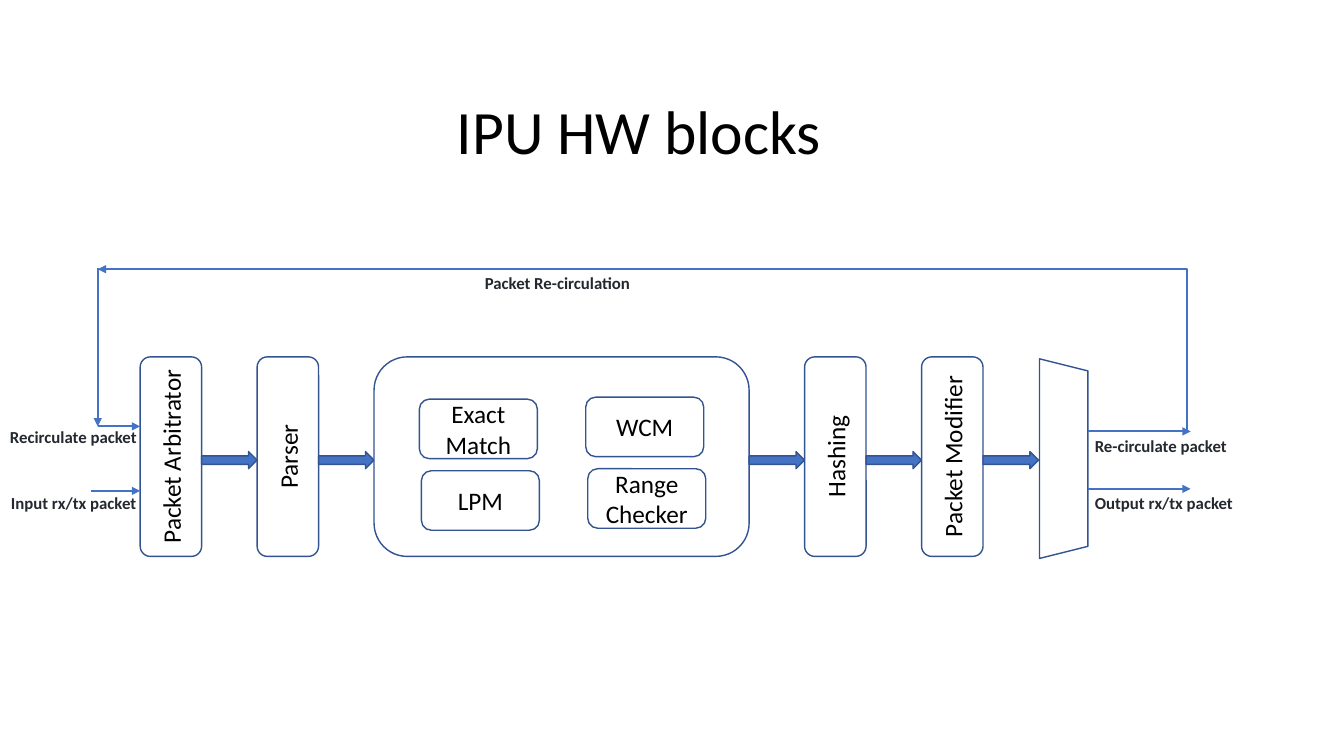
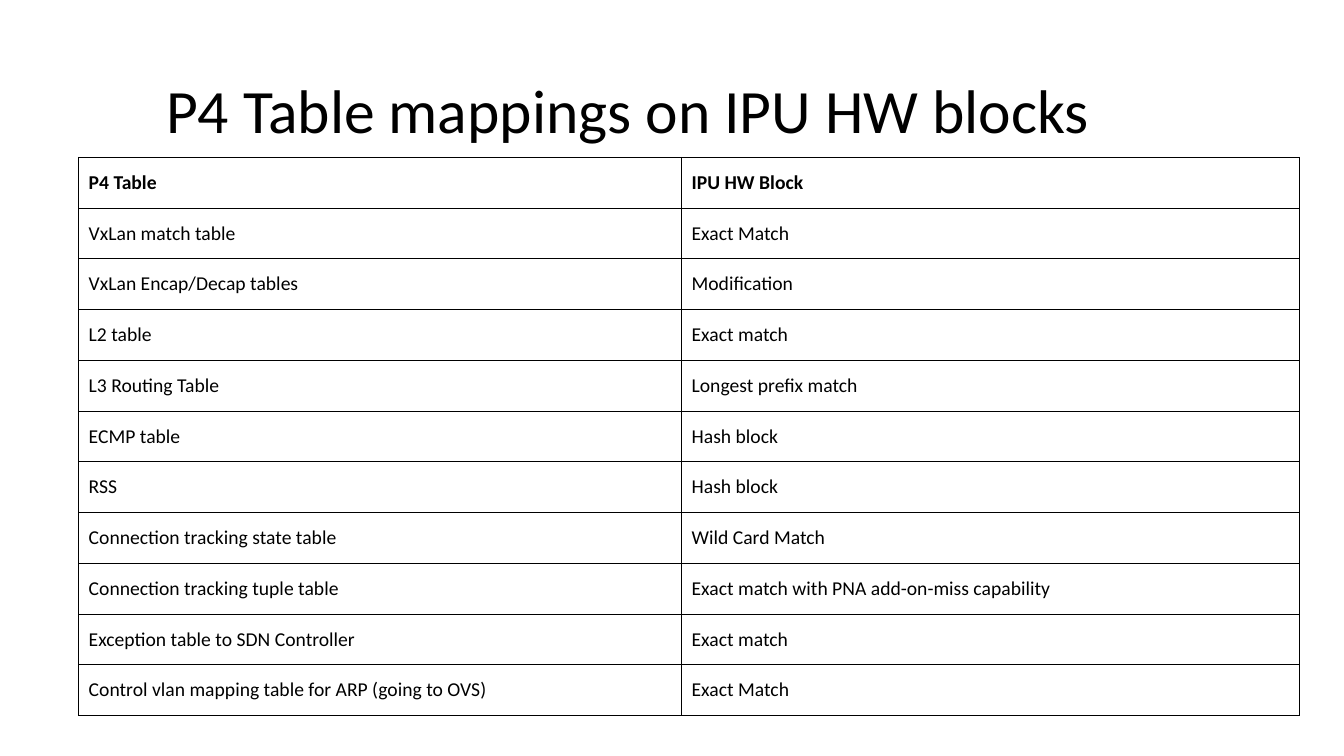
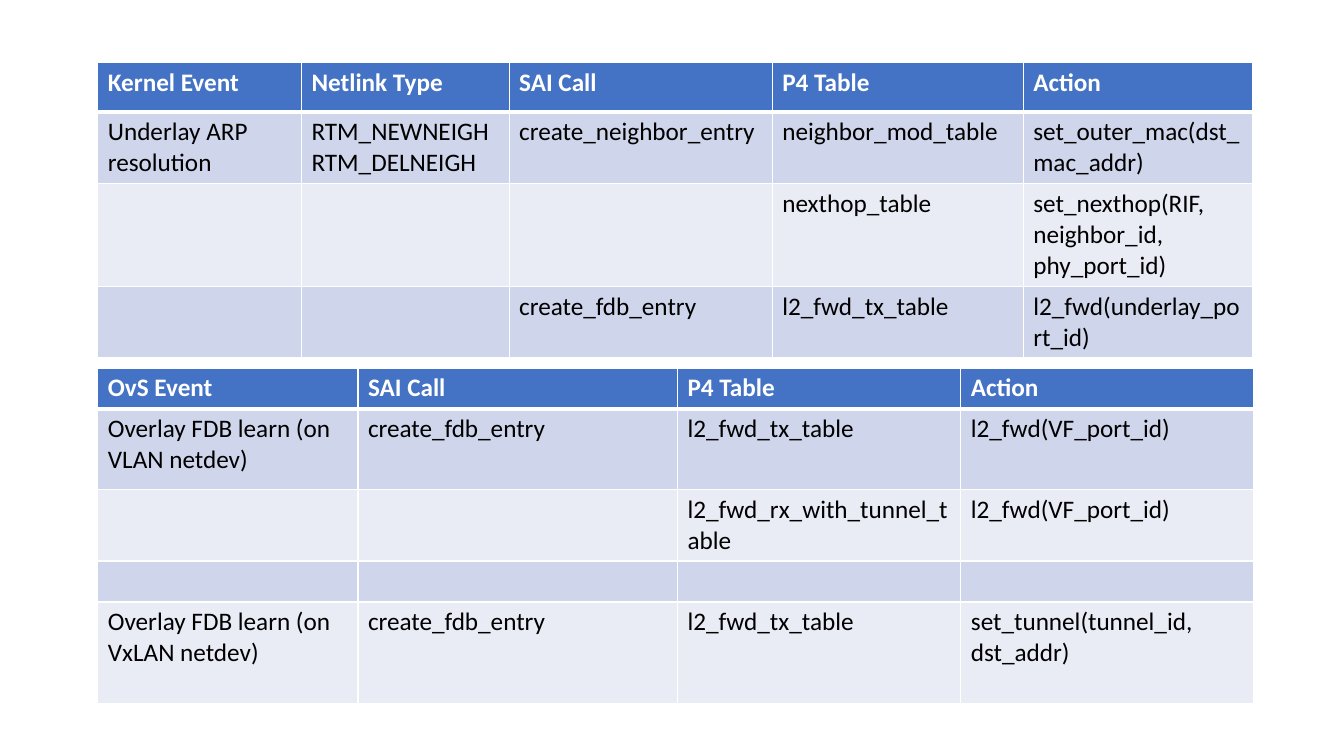
from dataclasses import dataclass

from lxml import etree
from pptx import Presentation
from pptx.dml.color import RGBColor
from pptx.enum.shapes import MSO_CONNECTOR, MSO_SHAPE
from pptx.enum.text import MSO_ANCHOR, PP_ALIGN
from pptx.oxml.ns import qn
from pptx.util import Inches, Pt

ROUNDED = MSO_SHAPE.ROUNDED_RECTANGLE
RIGHT_ARROW = MSO_SHAPE.RIGHT_ARROW
TRAPEZOID = MSO_SHAPE.TRAPEZOID
STRAIGHT = MSO_CONNECTOR.STRAIGHT
ELBOW = MSO_CONNECTOR.ELBOW
CENTER = PP_ALIGN.CENTER
LEFT = PP_ALIGN.LEFT
TOP = MSO_ANCHOR.TOP
MIDDLE = MSO_ANCHOR.MIDDLE


@dataclass(frozen=True)
class Theme:
    font: str = "Calibri"
    black: str = "000000"
    white: str = "FFFFFF"
    accent: str = "4472C4"
    outline: str = "325491"
    label: str = "24292F"
    band_dark: str = "CFD5EA"
    band_light: str = "E9EBF5"
    title_size: int = 44
    body_size: int = 18
    table_size: int = 14
    label_size: int = 12


THEME = Theme()


@dataclass(frozen=True)
class TableStyle:
    size: int
    header_color: str
    fills: tuple  # header, odd rows, even rows; None is no fill
    border: str
    border_width: float
    header_rule: float
    anchor: MSO_ANCHOR


PLAIN_TABLE = TableStyle(THEME.table_size, THEME.black, (None, None, None),
                         THEME.black, 0.5, 0.5, MIDDLE)
BANDED_TABLE = TableStyle(THEME.body_size, THEME.white,
                          (THEME.accent, THEME.band_dark, THEME.band_light),
                          THEME.white, 1, 3, TOP)

# Pipeline geometry
PIPELINE_LEFT, PIPELINE_TOP, PIPELINE_HEIGHT = 1.39, 3.54, 1.98
STAGE_WIDTH, MATCH_WIDTH, STAGE_GAP = 0.61, 3.72, 0.55
ARROW_TOP, ARROW_HEIGHT = 4.48, 0.17
STAGES = [("Packet Arbitrator", STAGE_WIDTH), ("Parser", STAGE_WIDTH),
          ("", MATCH_WIDTH), ("Hashing", STAGE_WIDTH),
          ("Packet Modifier", STAGE_WIDTH)]
MATCHERS = [("Exact Match", 4.16, 3.96), ("Range Checker", 5.83, 4.65),
            ("LPM", 4.18, 4.67), ("WCM", 5.81, 3.94)]
SELECTOR_CENTER, SELECTOR_LENGTH, SELECTOR_DEPTH = (10.55, 4.55), 1.98, 0.48

FLOW_LINES = [((0.97, 2.66), (0.97, 4.23)), ((0.97, 4.23), (1.39, 4.23)),
              ((0.9, 4.87), (1.39, 4.87)), ((10.79, 4.85), (11.81, 4.85)),
              ((10.79, 4.28), (11.81, 4.28))]
FLOW_LABELS = [("Packet Re-circulation", 4.71, 2.66),
               ("Input rx/tx packet", 0.01, 4.84),
               ("Recirculate packet", 0, 4.18),
               ("Output rx/tx packet", 10.76, 4.84),
               ("Re-circulate packet", 10.76, 4.27)]

P4_MAPPINGS = [
    ("P4 Table", "IPU HW Block"),
    ("VxLan match table", "Exact Match"),
    ("VxLan Encap/Decap tables", "Modification"),
    ("L2 table", "Exact match"),
    ("L3 Routing Table", "Longest prefix match"),
    ("ECMP table", "Hash block"),
    ("RSS", "Hash block"),
    ("Connection tracking state table", "Wild Card Match"),
    ("Connection tracking tuple table",
     "Exact match with PNA add-on-miss capability"),
    ("Exception table to SDN Controller", "Exact match"),
    ("Control vlan mapping table for ARP (going to OVS)", "Exact Match"),
]
KERNEL_EVENTS = [
    ("Kernel Event", "Netlink Type", "SAI Call", "P4 Table", "Action"),
    ("Underlay ARP resolution", "RTM_NEWNEIGH\nRTM_DELNEIGH",
     "create_neighbor_entry", "neighbor_mod_table",
     "set_outer_mac(dst_mac_addr)"),
    ("", "", "", "nexthop_table",
     "set_nexthop(RIF, neighbor_id, phy_port_id)"),
    ("", "", "create_fdb_entry", "l2_fwd_tx_table",
     "l2_fwd(underlay_port_id)"),
]
OVS_EVENTS = [
    ("OvS Event", "SAI Call", "P4 Table", "Action"),
    ("Overlay FDB learn (on VLAN netdev)", "create_fdb_entry",
     "l2_fwd_tx_table", "l2_fwd(VF_port_id)"),
    ("", "", "l2_fwd_rx_with_tunnel_table", "l2_fwd(VF_port_id)"),
    ("", "", "", ""),
    ("Overlay FDB learn (on VxLAN netdev)", "create_fdb_entry",
     "l2_fwd_tx_table", "set_tunnel(tunnel_id, dst_addr)"),
]


def rgb(color):
    return RGBColor.from_string(color)


def format_text(text_frame, size, color, bold=False, align=LEFT):
    for paragraph in text_frame.paragraphs:
        paragraph.alignment = align
        for run in paragraph.runs:
            run.font.name = THEME.font
            run.font.size = Pt(size)
            run.font.bold = bold
            run.font.color.rgb = rgb(color)


def add_text(slide, text, left, top, width, height):
    shape = slide.shapes.add_textbox(Inches(left), Inches(top),
                                     Inches(width), Inches(height))
    shape.text_frame.word_wrap = True
    shape.text_frame.text = text
    return shape.text_frame


def add_title(slide, text, left, top):
    text_frame = add_text(slide, text, left, top, 11.5, 1.45)
    text_frame.vertical_anchor = MIDDLE
    text_frame.paragraphs[0].line_spacing = 0.9
    format_text(text_frame, THEME.title_size, THEME.black, align=CENTER)


def add_label(slide, text, left, top):
    text_frame = add_text(slide, text, left, top, 1.69, 0.3)
    format_text(text_frame, THEME.label_size, THEME.label, bold=True)


def add_block(slide, kind, left, top, width, height, text="",
              fill=THEME.white, vertical=False):
    shape = slide.shapes.add_shape(kind, Inches(left), Inches(top),
                                   Inches(width), Inches(height))
    shape.shadow.inherit = False
    shape.fill.solid()
    shape.fill.fore_color.rgb = rgb(fill)
    shape.line.color.rgb = rgb(THEME.outline)
    shape.line.width = Pt(1)
    if text:
        text_frame = shape.text_frame
        text_frame.text = text
        text_frame.word_wrap = True
        text_frame.vertical_anchor = MIDDLE
        format_text(text_frame, THEME.body_size, THEME.black, align=CENTER)
        if vertical:
            text_frame._txBody.bodyPr.set("vert", "vert270")
    return shape


def add_flow(slide, start, end, kind=STRAIGHT, bend=None):
    """Arrow from start to end; bend places an elbow's middle leg."""
    points = [Inches(value) for value in (*start, *end)]
    connector = slide.shapes.add_connector(kind, *points)
    connector.line.color.rgb = rgb(THEME.accent)
    connector.line.width = Pt(1.5)
    properties = connector._element.spPr
    etree.SubElement(properties.find(qn("a:ln")), qn("a:tailEnd"),
                     type="triangle")
    etree.SubElement(properties, qn("a:effectLst"))
    if bend is not None:
        geometry = properties.find(qn("a:prstGeom"))
        adjustments = geometry.find(qn("a:avLst"))
        if adjustments is None:
            adjustments = etree.SubElement(geometry, qn("a:avLst"))
        etree.SubElement(adjustments, qn("a:gd"), name="adj1",
                         fmla=f"val {round(bend * 100000)}")


def set_borders(cell, color, widths):
    """Widths in points for the left, right, top and bottom edges."""
    properties = cell._tc.get_or_add_tcPr()
    for index, (edge, width) in enumerate(zip("LRTB", widths)):
        line = etree.Element(qn(f"a:ln{edge}"), w=str(Pt(width)))
        fill = etree.SubElement(line, qn("a:solidFill"))
        etree.SubElement(fill, qn("a:srgbClr"), val=color)
        properties.insert(index, line)


def add_data_table(slide, left, top, column_widths, row_heights, rows, style):
    frame = slide.shapes.add_table(
        len(rows), len(column_widths), Inches(left), Inches(top),
        Inches(sum(column_widths)), Inches(sum(row_heights)))
    table = frame.table
    table.first_row = table.horz_banding = False
    for column, width in zip(table.columns, column_widths):
        column.width = Inches(width)
    for row_index, values in enumerate(rows):
        table.rows[row_index].height = Inches(row_heights[row_index])
        is_header = row_index == 0
        fill = style.fills[0 if is_header else 2 - row_index % 2]
        thin, rule = style.border_width, style.header_rule
        edges = (thin, thin, rule if row_index == 1 else thin,
                 rule if is_header else thin)
        for column_index, value in enumerate(values):
            cell = table.cell(row_index, column_index)
            cell.text = value
            cell.vertical_anchor = style.anchor
            color = style.header_color if is_header else THEME.black
            format_text(cell.text_frame, style.size, color, bold=is_header)
            if fill:
                cell.fill.solid()
                cell.fill.fore_color.rgb = rgb(fill)
            else:
                cell.fill.background()
            set_borders(cell, style.border, edges)


def add_pipeline(slide):
    # Stages, each followed by an arrow that fills the gap
    left = PIPELINE_LEFT
    for name, width in STAGES:
        add_block(slide, ROUNDED, left, PIPELINE_TOP, width, PIPELINE_HEIGHT,
                  name, vertical=True)
        add_block(slide, RIGHT_ARROW, left + width, ARROW_TOP, STAGE_GAP,
                  ARROW_HEIGHT, fill=THEME.accent)
        left += width + STAGE_GAP

    # Lookup engines inside the wide stage
    for name, left, top in MATCHERS:
        add_block(slide, ROUNDED, left, top, 1.17, 0.59, name)

    # Output selector
    center_x, center_y = SELECTOR_CENTER
    selector = add_block(slide, TRAPEZOID, center_x - SELECTOR_LENGTH / 2,
                         center_y - SELECTOR_DEPTH / 2, SELECTOR_LENGTH,
                         SELECTOR_DEPTH)
    selector.rotation = 90


def build_blocks_slide(slide):
    add_pipeline(slide)
    add_flow(slide, (10.79, 4.28), (0.97, 2.67), ELBOW, bend=-0.1)
    for start, end in FLOW_LINES:
        add_flow(slide, start, end)
    for text, left, top in FLOW_LABELS:
        add_label(slide, text, left, top)
    add_title(slide, "IPU HW blocks", 0.59, 0.61)


def build_mapping_slide(slide):
    add_title(slide, "P4 Table mappings on IPU HW blocks", 0.48, 0.4)
    row_height = 5.54 / len(P4_MAPPINGS)
    add_data_table(slide, 0.78, 1.56, (5.98, 6.13),
                   [row_height] * len(P4_MAPPINGS), P4_MAPPINGS, PLAIN_TABLE)


def build_events_slide(slide):
    add_data_table(slide, 0.97, 0.62, (2.02, 2.06, 2.61, 2.49, 2.27),
                   (0.49, 0.7, 1.02, 0.7), KERNEL_EVENTS, BANDED_TABLE)
    add_data_table(slide, 0.97, 3.65, (2.58, 3.17, 2.81, 2.9),
                   (0.4, 0.8, 0.7, 0.4, 1.01), OVS_EVENTS, BANDED_TABLE)


def main():
    presentation = Presentation()
    presentation.slide_width = Inches(13.33)
    presentation.slide_height = Inches(7.5)
    blank = presentation.slide_layouts[6]
    for build in (build_blocks_slide, build_mapping_slide, build_events_slide):
        build(presentation.slides.add_slide(blank))
    presentation.save("out.pptx")


if __name__ == "__main__":
    main()
